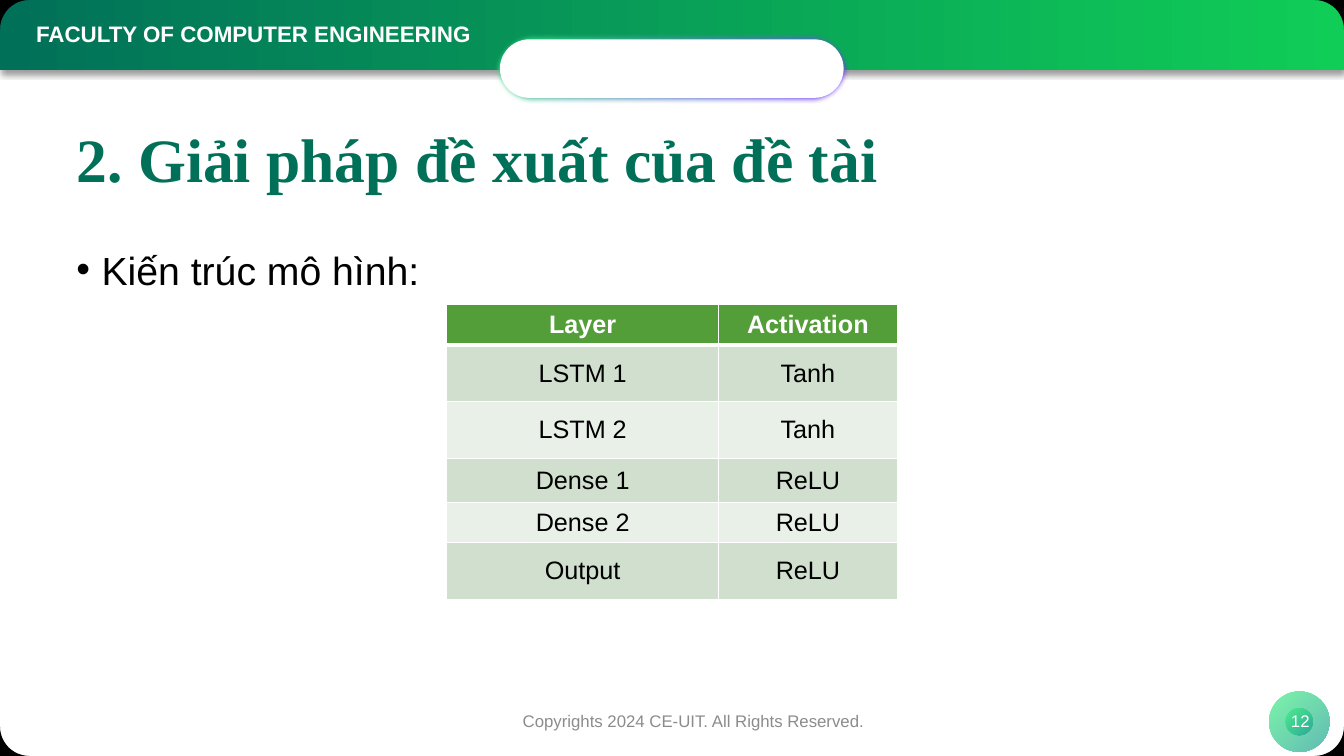
from dataclasses import dataclass
from math import cos, pi, sin

from lxml.etree import SubElement
from pptx import Presentation
from pptx.dml.color import RGBColor
from pptx.enum.shapes import MSO_SHAPE
from pptx.enum.text import MSO_ANCHOR, PP_ALIGN
from pptx.oxml import parse_xml
from pptx.oxml.ns import nsdecls, qn
from pptx.util import Pt

FACULTY = "FACULTY OF COMPUTER ENGINEERING"
TITLE = "2. Giải pháp đề xuất của đề tài"
BULLET = "Kiến trúc mô hình:"
LAYERS = [
    ("Layer", "Activation"),
    ("LSTM 1", "Tanh"),
    ("LSTM 2", "Tanh"),
    ("Dense 1", "ReLU"),
    ("Dense 2", "ReLU"),
    ("Output", "ReLU"),
]
COLUMN_WIDTHS = (194.4, 127.4)
ROW_HEIGHTS = (27.4, 40.8, 40.5, 31.4, 28, 40.4)
COPYRIGHT = "Copyrights 2024 CE-UIT. All Rights Reserved."
PAGE = "12"


@dataclass(frozen=True)
class Theme:
    sans: str = "Arial"
    serif: str = "Times New Roman"
    deep: str = "017058"
    bright: str = "10CD57"
    mint: str = "38EF7D"
    violet: str = "752AFF"
    teal: str = "11998E"
    white: str = "FFFFFF"
    black: str = "000000"
    grey: str = "8C8C8C"
    head_row: str = "549E39"
    bands: tuple = ("D1DFCE", "E9F0E8")
    title_size: int = 44
    body_size: int = 28
    table_size: int = 18
    faculty_size: int = 16
    footer_size: int = 12


THEME = Theme()
WIDTH, HEIGHT = 960, 540
CORNER = 21


def points(*lengths):
    return [Pt(length) for length in lengths]


def style(paragraph, size, color, bold=False, font=THEME.sans, align=PP_ALIGN.LEFT):
    paragraph.alignment = align
    paragraph.font.name = font
    paragraph.font.size = Pt(size)
    paragraph.font.bold = bold
    paragraph.font.color.rgb = RGBColor.from_string(color)


def add_text(slide, box, text, anchor=MSO_ANCHOR.MIDDLE):
    """Add a wrapping text box and return its paragraph, still unstyled."""
    frame = slide.shapes.add_textbox(*points(*box)).text_frame
    frame.word_wrap = True
    frame.vertical_anchor = anchor
    frame.paragraphs[0].text = text
    return frame.paragraphs[0]


def add_panel(slide, preset, box, colors, angle=0, opacity=100):
    """Add an unlined shape: one colour is solid, two are a gradient."""
    panel = slide.shapes.add_shape(preset, *points(*box))
    panel.shadow.inherit = False
    panel.line.fill.background()
    if preset == MSO_SHAPE.ROUNDED_RECTANGLE:
        panel.adjustments[0] = 0.5
    if len(colors) == 1:
        panel.fill.solid()
        panel.fill.fore_color.rgb = RGBColor.from_string(colors[0])
        return panel
    panel.fill.gradient()
    panel.fill.gradient_angle = angle
    for stop, color in zip(panel.fill.gradient_stops, colors):
        stop.color.rgb = RGBColor.from_string(color)
    if opacity < 100:
        for color in panel._element.spPr.iter(qn("a:srgbClr")):
            SubElement(color, qn("a:alpha"), val=str(opacity * 1000))
    return panel


def add_effect(panel, tag, **settings):
    effects = panel._element.spPr.find(qn("a:effectLst"))
    return SubElement(effects, qn(tag), **settings)


def add_header(slide):
    bar = add_panel(slide, MSO_SHAPE.RECTANGLE, (0, 0, WIDTH, 50),
                    (THEME.deep, THEME.bright))
    shadow = add_effect(bar, "a:outerShdw", blurRad=str(Pt(4)), dist=str(Pt(3)),
                        dir="5400000", algn="t", rotWithShape="0")
    tint = SubElement(shadow, qn("a:srgbClr"), val=THEME.black)
    SubElement(tint, qn("a:alpha"), val="40000")
    style(add_text(slide, (18.7, 10.8, 584, 26.6), FACULTY, MSO_ANCHOR.TOP),
          THEME.faculty_size, THEME.white, bold=True)

    glow = add_panel(slide, MSO_SHAPE.ROUNDED_RECTANGLE, (352.8, 23.8, 254.2, 50.4),
                     (THEME.mint, THEME.violet), angle=315)
    add_effect(glow, "a:softEdge", rad=str(Pt(4)))
    add_panel(slide, MSO_SHAPE.ROUNDED_RECTANGLE, (357.1, 28.1, 245.5, 41.8),
              (THEME.white,))


def add_badge(slide):
    center_x, center_y = 928.1, 515.5
    for size in (43.2, 19.4):
        add_panel(slide, MSO_SHAPE.OVAL,
                  (center_x - size / 2, center_y - size / 2, size, size),
                  (THEME.mint, THEME.teal), angle=315, opacity=65)


def add_corners(slide):
    """Mask the four slide corners so the page looks rounded."""
    builder = None
    for x, inward_x in ((0, 1), (WIDTH, -1)):
        for y, inward_y in ((0, 1), (HEIGHT, -1)):
            arc = [points(x + inward_x * CORNER * (1 - cos(turn * pi / 24)),
                          y + inward_y * CORNER * (1 - sin(turn * pi / 24)))
                   for turn in range(13)]
            if builder is None:
                builder = slide.shapes.build_freeform(*points(x, y))
            else:
                builder.move_to(*points(x, y))
            builder.add_line_segments(arc, close=True)
    corners = builder.convert_to_shape()
    corners.shadow.inherit = False
    corners.line.fill.background()
    corners.fill.solid()
    corners.fill.fore_color.rgb = RGBColor.from_string(THEME.black)


def add_title(slide):
    title = slide.shapes.title
    title.left, title.top, title.width, title.height = points(47.5, 81.4, 864.7, 69.8)
    title.text_frame.text = TITLE
    title.text_frame.vertical_anchor = MSO_ANCHOR.MIDDLE
    heading = title.text_frame.paragraphs[0]
    heading.line_spacing = 0.9
    style(heading, THEME.title_size, THEME.deep, bold=True, font=THEME.serif)


def add_bullet(slide):
    bullet = add_text(slide, (47.5, 162, 864.7, 324.7), BULLET, MSO_ANCHOR.TOP)
    bullet.line_spacing = 1.3
    bullet.space_after = Pt(3)
    settings = bullet._p.get_or_add_pPr()
    settings.set("marL", str(Pt(18)))
    settings.set("indent", str(Pt(-18)))
    SubElement(settings, qn("a:buFont"), typeface=THEME.sans)
    SubElement(settings, qn("a:buChar"), char="•")
    style(bullet, THEME.body_size, THEME.black)


def set_borders(cell, top, bottom):
    """Draw white borders, with top and bottom widths in points."""
    settings = cell._tc.get_or_add_tcPr()
    sides = (("lnL", 1), ("lnR", 1), ("lnT", top), ("lnB", bottom))
    for position, (side, width) in enumerate(sides):
        settings.insert(position, parse_xml(
            f'<a:{side} {nsdecls("a")} w="{Pt(width)}"><a:solidFill>'
            f'<a:srgbClr val="{THEME.white}"/></a:solidFill></a:{side}>'))


def add_layers(slide):
    layers = slide.shapes.add_table(
        len(LAYERS), len(COLUMN_WIDTHS),
        *points(319, 217.4, sum(COLUMN_WIDTHS), sum(ROW_HEIGHTS))).table
    layers.first_row = layers.horz_banding = False
    for column, width in zip(layers.columns, COLUMN_WIDTHS):
        column.width = Pt(width)
    for row, height in zip(layers.rows, ROW_HEIGHTS):
        row.height = Pt(height)
    for r, values in enumerate(LAYERS):
        is_head = r == 0
        band = THEME.head_row if is_head else THEME.bands[(r - 1) % 2]
        for c, value in enumerate(values):
            cell = layers.cell(r, c)
            cell.text = value
            cell.vertical_anchor = MSO_ANCHOR.MIDDLE
            cell.fill.solid()
            cell.fill.fore_color.rgb = RGBColor.from_string(band)
            set_borders(cell, top=3 if r == 1 else 1, bottom=3 if is_head else 1)
            style(cell.text_frame.paragraphs[0], THEME.table_size,
                  THEME.white if is_head else THEME.black, is_head,
                  align=PP_ALIGN.CENTER)


def main():
    deck = Presentation()
    deck.slide_width, deck.slide_height = points(WIDTH, HEIGHT)
    slide = deck.slides.add_slide(deck.slide_layouts[5])
    add_header(slide)
    add_badge(slide)
    add_corners(slide)
    add_title(slide)
    add_bullet(slide)
    for left, width, text, color in ((333.4, 324, COPYRIGHT, THEME.grey),
                                     (820.8, 216, PAGE, THEME.white)):
        style(add_text(slide, (left, 500.4, width, 28.8), text),
              THEME.footer_size, color, align=PP_ALIGN.CENTER)
    add_layers(slide)
    deck.save("out.pptx")


if __name__ == "__main__":
    main()
